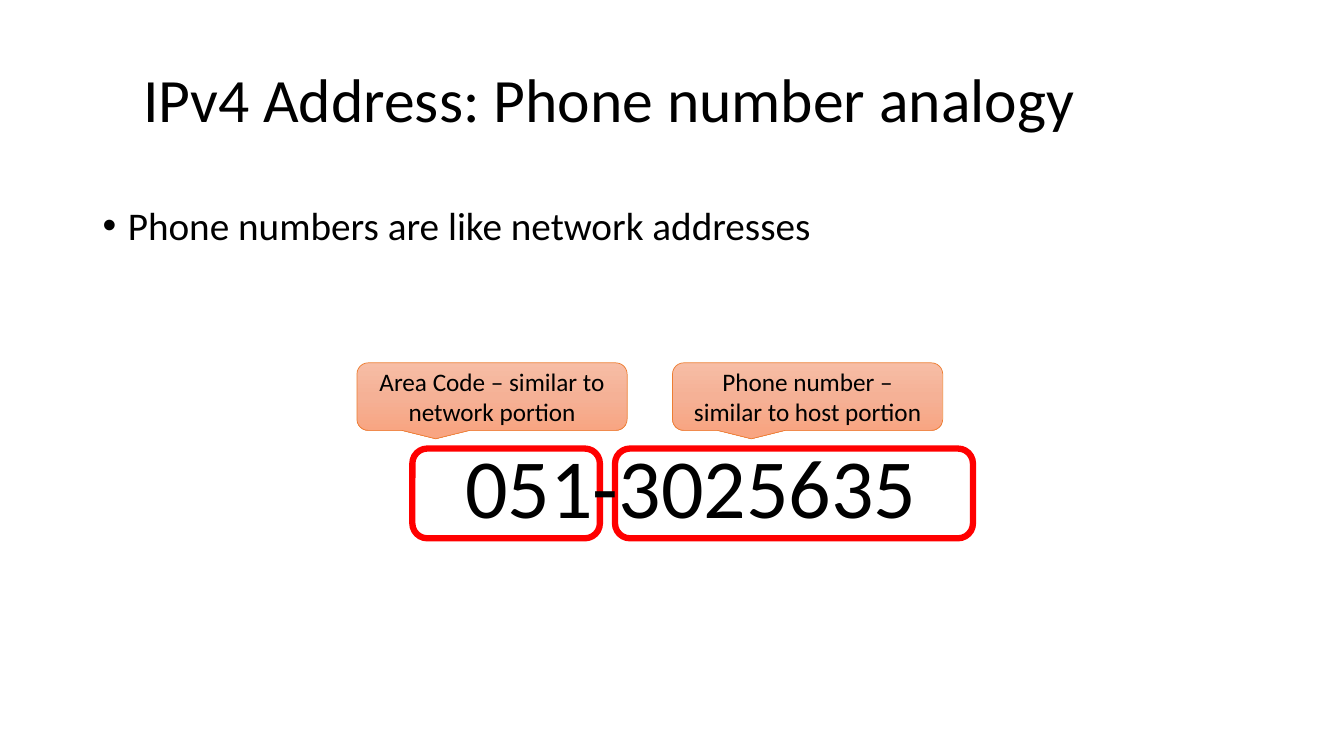
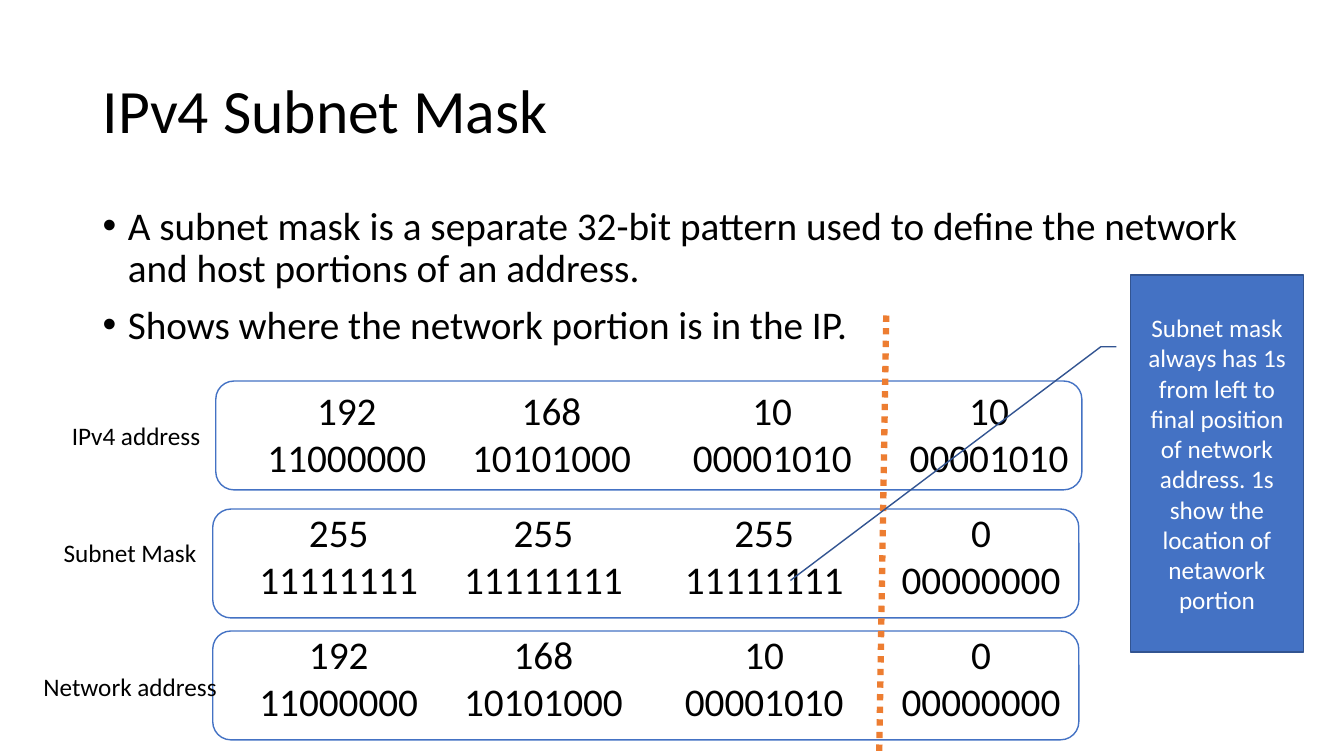
from copy import deepcopy

from lxml import etree
from pptx import Presentation
from pptx.dml.color import RGBColor
from pptx.enum.dml import MSO_LINE
from pptx.enum.shapes import MSO_CONNECTOR, MSO_SHAPE
from pptx.enum.text import MSO_ANCHOR, MSO_AUTO_SIZE, PP_ALIGN
from pptx.oxml.ns import qn
from pptx.util import Emu, Pt

# Shared scale, fonts and colours
EMU_PER_PX = 9144
SLIDE_WIDTH, SLIDE_HEIGHT = 1333, 750
TITLE_ONLY = 5
FONT = "Calibri"
BLACK, WHITE, RED = "000000", "FFFFFF", "FF0000"
BLUE, DARK_BLUE, ORANGE = "4472C4", "325491", "ED7D31"
PEACH_STOPS = ("F7BDA5", "F5B196", "F8A582")
DOWNWARD = 270

LEFT, CENTER = PP_ALIGN.LEFT, PP_ALIGN.CENTER
TOP, MIDDLE = MSO_ANCHOR.TOP, MSO_ANCHOR.MIDDLE
ROUND_RECT = MSO_SHAPE.ROUNDED_RECTANGLE
SPEECH_CALLOUT = MSO_SHAPE.ROUNDED_RECTANGULAR_CALLOUT
LINE_CALLOUT = MSO_SHAPE.LINE_CALLOUT_2
STRAIGHT = MSO_CONNECTOR.STRAIGHT
DOTTED = MSO_LINE.ROUND_DOT
NO_AUTOFIT = MSO_AUTO_SIZE.NONE

# Address table: panel left and top, text left and top, label left and top
ADDRESS_ROWS = [
    ("IPv4 address", (214, 378), (194, 378), (10, 412),
     [("192", "11000000"), ("168", "10101000"),
      ("10", "00001010"), ("10", "00001010")]),
    ("Subnet Mask", (211, 505), (186, 499), (4, 528),
     [("255", "11111111"), ("255", "11111111"),
      ("255", "11111111"), ("0", "00000000")]),
    ("Network address", (211, 626), (186, 620), (4, 661),
     [("192", "11000000"), ("168", "10101000"),
      ("10", "00001010"), ("0", "00000000")]),
]
OCTET_OFFSETS = (0, 203, 422, 637)


def px(value):
    return Emu(value * EMU_PER_PX)


def color(hex_string):
    return RGBColor.from_string(hex_string)


def add_bullet(paragraph):
    properties = paragraph._p.get_or_add_pPr()
    properties.set("marL", str(px(25)))
    properties.set("indent", str(px(-25)))
    etree.SubElement(properties, qn("a:buFont"), typeface="Arial")
    etree.SubElement(properties, qn("a:buChar"), char="•")


def write_text(shape, lines, size, text_color=BLACK, align=CENTER,
               anchor=TOP, bullets=False, spacing=None):
    frame = shape.text_frame
    frame.word_wrap = True
    frame.auto_size = NO_AUTOFIT
    frame.vertical_anchor = anchor
    for index, line in enumerate(lines):
        paragraph = frame.add_paragraph() if index else frame.paragraphs[0]
        if bullets:
            add_bullet(paragraph)
            paragraph.space_before = Pt(10 if index else 0)
        paragraph.alignment = align
        if spacing:
            paragraph.line_spacing = spacing
        run = paragraph.add_run()
        run.text = line
        run.font.name = FONT
        run.font.size = Pt(size)
        run.font.color.rgb = color(text_color)


def add_titled_slide(presentation, title, left, top):
    slide = presentation.slides.add_slide(
        presentation.slide_layouts[TITLE_ONLY])
    shape = slide.shapes.title
    shape.left, shape.top = px(left), px(top)
    shape.width, shape.height = px(1150), px(145)
    write_text(shape, [title], 44, align=LEFT, anchor=MIDDLE, spacing=0.9)
    return slide


def add_text(slide, lines, left, top, width, height, size, **style):
    box = slide.shapes.add_textbox(px(left), px(top), px(width), px(height))
    write_text(box, lines, size, **style)


def add_bullets(slide, lines):
    add_text(slide, lines, 92, 200, 1150, 476, 28,
             align=LEFT, bullets=True, spacing=0.9)


def add_panel(slide, kind, left, top, width, height, fill, line, weight):
    shape = slide.shapes.add_shape(
        kind, px(left), px(top), px(width), px(height))
    shape.shadow.inherit = False
    shape.fill.solid()
    shape.fill.fore_color.rgb = color(fill)
    shape.line.color.rgb = color(line)
    shape.line.width = Pt(weight)
    return shape


def fill_gradient(shape, hex_colors, angle):
    shape.fill.gradient()
    shape.fill.gradient_angle = angle
    stop_list = shape._element.spPr.find(".//" + qn("a:gsLst"))
    while len(stop_list) < len(hex_colors):
        stop_list.append(deepcopy(stop_list[0]))
    for index, stop in enumerate(shape.fill.gradient_stops):
        stop.position = index / (len(hex_colors) - 1)
        stop.color.rgb = color(hex_colors[index])


def add_speech_callout(slide, text, left):
    callout = add_panel(slide, SPEECH_CALLOUT, left, 360, 268, 67,
                        PEACH_STOPS[0], ORANGE, 0.5)
    fill_gradient(callout, PEACH_STOPS, DOWNWARD)
    write_text(callout, [text], 18, anchor=MIDDLE)


def add_dotted_line(slide, start, end):
    line = slide.shapes.add_connector(
        STRAIGHT, *[px(value) for value in start + end])
    line.line.color.rgb = color(ORANGE)
    line.line.width = Pt(4.5)
    line.line.dash_style = DOTTED
    etree.SubElement(line._element.spPr, qn("a:effectLst"))


def add_address_row(slide, label, panel_at, text_at, label_at, octets):
    add_panel(slide, ROUND_RECT, *panel_at, 859, 108, WHITE, BLUE, 1)
    text_left, text_top = text_at
    for offset, octet in zip(OCTET_OFFSETS, octets):
        add_text(slide, octet, text_left + offset, text_top, 300, 104, 28)
    add_text(slide, [label], *label_at, 250, 40, 18)


def build_phone_slide(presentation):
    slide = add_titled_slide(
        presentation, "IPv4 Address: Phone number analogy", 132, 29)
    add_bullets(slide, ["Phone numbers are like network addresses"])
    # Phone number with its two framed portions
    for left, width in ((610, 355), (409, 186)):
        add_panel(slide, ROUND_RECT, left, 445, width, 89, WHITE, RED, 4.5)
    add_text(slide, ["051-3025635"], 323, 426, 725, 111, 60)
    add_speech_callout(slide, "Area Code – similar to network portion", 354)
    add_speech_callout(slide, "Phone number – similar to host portion", 667)


def build_mask_slide(presentation):
    slide = add_titled_slide(presentation, "IPv4 Subnet Mask", 92, 40)
    add_bullets(slide, [
        "A subnet mask is a separate 32-bit pattern used to define the "
        "network and host portions of an address.",
        "Shows where the network portion is in the IP.",
    ])
    for row in ADDRESS_ROWS:
        add_address_row(slide, *row)
    # Border between network and host portions
    add_dotted_line(slide, (879, 313), (872, 750))
    # Note pointing at the last 1s of the mask
    note = add_panel(slide, LINE_CALLOUT, 1121, 273, 172, 374,
                     BLUE, DARK_BLUE, 1)
    pointer = (0.19, -0.08, 0.19, -0.17, 0.81, -1.96)
    for index, value in enumerate(pointer):
        note.adjustments[index] = value
    write_text(note, [
        "Subnet mask always has 1s from left to final position of network "
        "address. 1s show the location of netawork portion",
    ], 18, WHITE, anchor=MIDDLE)


def main():
    presentation = Presentation()
    presentation.slide_width = px(SLIDE_WIDTH)
    presentation.slide_height = px(SLIDE_HEIGHT)
    build_phone_slide(presentation)
    build_mask_slide(presentation)
    presentation.save("out.pptx")


if __name__ == "__main__":
    main()
